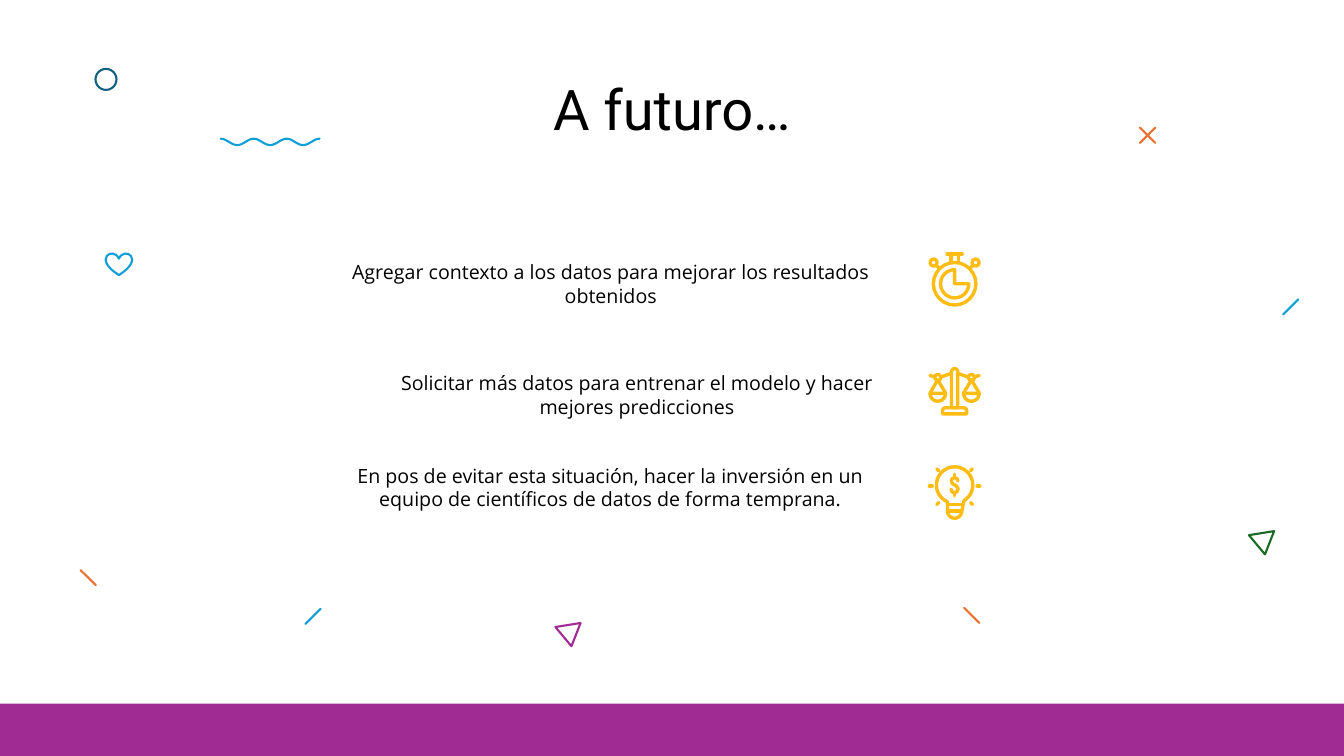
import math
import pptx
import pptx.dml.color
import pptx.enum.shapes
import pptx.enum.text
import pptx.oxml
import pptx.oxml.ns
import pptx.util

Pt = pptx.util.Pt
SHAPE = pptx.enum.shapes.MSO_SHAPE
BLUE, ORANGE, PURPLE, GREEN, NAVY, GOLD = (
    "0F9ED5", "E97132", "A02B93", "196B24", "156082", "FFBC12")
THIN, THICK = 1.5, 2.4


def stroke(sp, color, width):
    """Give a shape or connector a round-capped line and no shadow."""
    sp.line.color.rgb = pptx.dml.color.RGBColor.from_string(color)
    sp.line.width = Pt(width)
    spPr = sp._element.spPr
    spPr.find(pptx.oxml.ns.qn("a:ln")).set("cap", "rnd")
    spPr.append(pptx.oxml.parse_xml(
        "<a:effectLst %s/>" % pptx.oxml.ns.nsdecls("a")))


def arc(x, y, radius, start, end, step=15):
    """Points on a circle, with angles in degrees clockwise from the right."""
    return [(x + radius * math.cos(math.radians(a)), y + radius * math.sin(math.radians(a)))
            for a in range(start, end + 1, step)]


prs = pptx.Presentation()
prs.slide_width, prs.slide_height = Pt(960), Pt(540)
s = prs.slides.add_slide(prs.slide_layouts[5])

# Bottom band
band = s.shapes.add_shape(SHAPE.RECTANGLE, 0, Pt(502.6), Pt(960), Pt(37.4))
band.shadow.inherit = False
band.fill.solid()
band.fill.fore_color.rgb = pptx.dml.color.RGBColor.from_string(PURPLE)
band.line.fill.background()

# Title and statements: shape, text, left, top, width, height, size, font
statements = [
    ("Agregar contexto a los datos para mejorar los resultados obtenidos",
     220.3, 183.6, 432, 38.2),
    ("Solicitar más datos para entrenar el modelo y hacer mejores predicciones",
     262.8, 262.8, 384.5, 38.2),
    ("En pos de evitar esta situación, hacer la inversión en un equipo de "
     "científicos de datos de forma temprana.",
     225.4, 329, 421.2, 38.2),
]
texts = [(s.shapes.title, "A futuro…", 75.6, 46.8, 808.6, 60.5, 40, "Roboto")]
for statement in statements:
    box = s.shapes.add_textbox(0, 0, Pt(100), Pt(20))
    texts.append((box, *statement, 14, "Open Sans"))

for sp, text, left, top, width, height, size, font in texts:
    sp.left, sp.top, sp.width, sp.height = Pt(left), Pt(top), Pt(width), Pt(height)
    tf = sp.text_frame
    tf.text = text
    tf.word_wrap = True
    tf.auto_size = pptx.enum.text.MSO_AUTO_SIZE.NONE
    tf.vertical_anchor = pptx.enum.text.MSO_ANCHOR.MIDDLE
    tf.margin_left = tf.margin_right = tf.margin_top = tf.margin_bottom = Pt(9.6)
    p = tf.paragraphs[0]
    p.alignment = pptx.enum.text.PP_ALIGN.CENTER
    p.line_spacing = 1.0
    r = p.runs[0]
    r.font.size = Pt(size)
    r.font.name = font
    r.font.color.rgb = pptx.dml.color.RGBColor.from_string("000000")

# Confetti: straight strokes as x1, y1, x2, y2
lines = [
    (BLUE, THIN, 927.4, 213.8, 916.6, 224.6),
    (BLUE, THIN, 229, 434.9, 218.2, 445.7),
    (ORANGE, THIN, 688.7, 434.2, 699.5, 445),
    (ORANGE, THIN, 57.6, 407.3, 68.4, 417.9),
    (ORANGE, THIN, 825.1, 91.2, 814.3, 102),
    (ORANGE, THIN, 814.3, 91.2, 825.1, 102),
]
# Outlined presets as left, top, width, height, adjustments
presets = [
    (NAVY, THIN, SHAPE.OVAL, 68.2, 49.2, 15, 15, []),
    (BLUE, THIN, SHAPE.HEART, 75.6, 180.9, 18.7, 15.5, []),
]
# Outlines as lists of contours: points, closed
wave = [(157.7 + 70.6 * i / 48, 101.4 - 2.3 * math.cos(math.pi * i / 8))
        for i in range(49)]
outlines = [(BLUE, THIN, [(wave, False)])]
for color, x, y in [(PURPLE, 396.7, 445), (GREEN, 892.1, 379.4)]:
    triangle = [(x + 18, y), (x, y + 2.9), (x + 11.5, y + 16.6)]
    outlines.append((color, THIN, [(triangle, True)]))

# Stopwatch
cx, cy = 681.9, 202.7
presets += [
    (GOLD, THICK, SHAPE.OVAL, cx - 15.2, cy - 15.2, 30.4, 30.4, []),
    (GOLD, THICK, SHAPE.PIE, cx - 10.1, cy - 10.1, 20.2, 20.2, [0, 162]),
]
lines.append((GOLD, THICK, cx - 5.4, 181.4, cx + 5.4, 181.4))
for side in (-1, 1):
    presets.append((GOLD, THICK, SHAPE.OVAL, cx + side * 15 - 2.5, 185.1, 5, 5, []))
    lines += [
        (GOLD, THICK, cx + side * 2.6, 182, cx + side * 2.6, 187),
        (GOLD, THICK, cx + side * 12.8, 189.8, cx + side * 11, 191.5),
    ]

# Scales: post and foot, then an arm, ring, cords and pan on each side
post = arc(cx, 265.5, 2.2, 180, 360) + [(cx + 2.2, 291.3), (cx - 2.2, 291.3)]
foot = (arc(cx - 6.6, 293.3, 2, 180, 270) + arc(cx + 6.6, 293.3, 2, 270, 360)
        + [(cx + 8.6, 295.6), (cx - 8.6, 295.6)])
scales = [(post, True), (foot, True)]
for side in (-1, 1):
    pan = cx + side * 12
    scales += [
        ([(pan + side * 5.6, 268.2), (pan + side * 2.6, 269.1)], False),
        ([(pan - side * 2.6, 269.2), (cx + side * 2.6, 266.8)], False),
        (arc(pan, 269.6, 2.1, 0, 345), True),
        ([(pan - 5.5, 280.6), (pan, 271.4), (pan + 5.5, 280.6)], False),
        (arc(pan, 281, 5.6, 0, 180), True),
    ]
outlines.append((GOLD, THICK, scales))

# Light bulb: glass arc, then the rounded base
cy = 346.5
bulb = arc(cx, cy, 13, 113, 427, 9) + arc(cx, 365.1, 5.1, 0, 180)
dollar = [(2.4, -3), (1.8, -4.6), (0, -5.4), (-1.9, -4.4), (-2.3, -2.6),
          (-1.4, -1), (1.4, 0.8), (2.5, 2.6), (1.9, 4.6), (0, 5.5),
          (-1.8, 4.8), (-2.6, 3)]
outlines += [
    (GOLD, THICK, [(bulb, True)]),
    (GOLD, THICK, [([(cx + dx, cy + dy) for dx, dy in dollar], False)]),
]
for y in (360.4, 365.1):
    lines.append((GOLD, THICK, cx - 5, y, cx + 5, y))
for side in (-1, 1):
    lines += [
        (GOLD, THICK, cx, cy + side * 5.6, cx, cy + side * 7.7),
        (GOLD, THICK, cx + side * 16, 347.3, cx + side * 18, 347.3),
    ]
    for y1, y2 in [(334.8, 336.2), (360.4, 359)]:
        lines.append((GOLD, THICK, cx + side * 12.8, y1, cx + side * 11.4, y2))

for color, width, kind, left, top, w, h, adjustments in presets:
    sp = s.shapes.add_shape(kind, Pt(left), Pt(top), Pt(w), Pt(h))
    for i, value in enumerate(adjustments):
        sp.adjustments[i] = value
    sp.fill.background()
    stroke(sp, color, width)

for color, width, contours in outlines:
    x, y = contours[0][0][0]
    builder = s.shapes.build_freeform(Pt(x), Pt(y))
    for i, (points, closed) in enumerate(contours):
        points = [(Pt(x), Pt(y)) for x, y in points]
        if i:
            builder.move_to(*points[0])
        builder.add_line_segments(points[1:], close=closed)
    sp = builder.convert_to_shape()
    sp.fill.background()
    stroke(sp, color, width)

for color, width, x1, y1, x2, y2 in lines:
    sp = s.shapes.add_connector(
        pptx.enum.shapes.MSO_CONNECTOR.STRAIGHT, Pt(x1), Pt(y1), Pt(x2), Pt(y2))
    stroke(sp, color, width)

prs.save("out.pptx")
